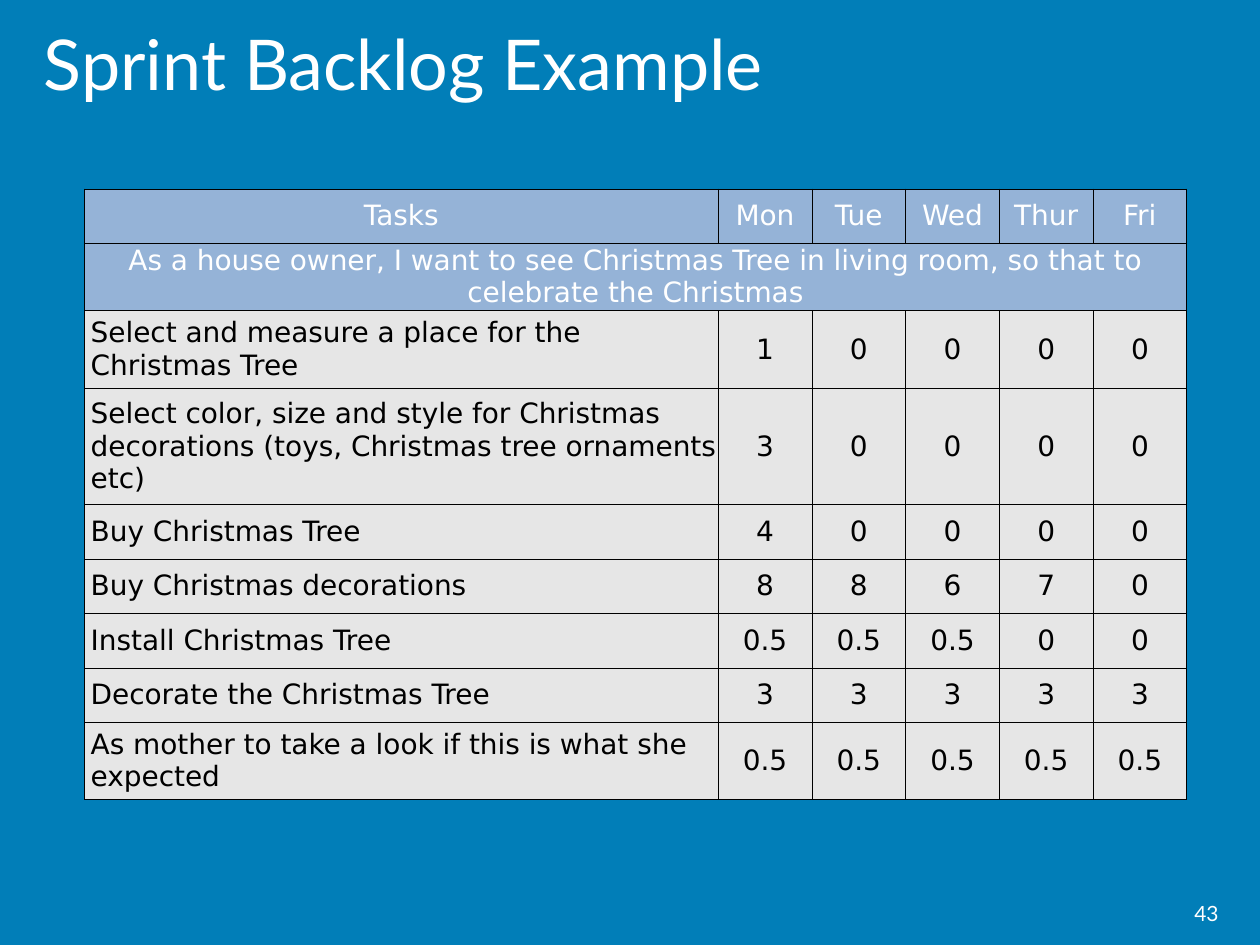
"""Build the sprint backlog slide with its table of tasks and daily hours."""
from dataclasses import dataclass

from lxml.etree import SubElement
from pptx import Presentation
from pptx.dml.color import RGBColor
from pptx.enum.text import MSO_ANCHOR, PP_ALIGN
from pptx.oxml.ns import qn
from pptx.util import Inches, Pt


@dataclass(frozen=True)
class Theme:
    background: str = "017EB8"
    header: str = "95B3D7"
    body: str = "E6E6E6"
    light: str = "FFFFFF"
    dark: str = "000000"
    heading_font: str = "Lato"
    table_font: str = "DejaVu Sans"
    title_size: int = 40
    table_size: int = 16
    number_size: int = 12
    border_width: float = 0.5


theme = Theme()


def style(paragraph, font_name, size, color, alignment):
    paragraph.alignment = alignment
    paragraph.font.name = font_name
    paragraph.font.size = Pt(size)
    paragraph.font.color.rgb = RGBColor.from_string(color)


def add_borders(cell):
    properties = cell._tc.get_or_add_tcPr()
    for side in ("lnL", "lnR", "lnT", "lnB"):
        line = SubElement(properties, qn(f"a:{side}"), w=str(Pt(theme.border_width)))
        fill = SubElement(line, qn("a:solidFill"))
        SubElement(fill, qn("a:srgbClr"), val=theme.dark)


presentation = Presentation()
presentation.slide_width = Inches(10)
presentation.slide_height = Inches(7.5)
slide = presentation.slides.add_slide(presentation.slide_layouts[6])
slide.background.fill.solid()
slide.background.fill.fore_color.rgb = RGBColor.from_string(theme.background)

labels = [
    ("43", (7.44, 7.05, 2.33, 0.39), theme.number_size, PP_ALIGN.RIGHT),
    ("Sprint Backlog Example", (0.25, 0, 9, 1), theme.title_size, PP_ALIGN.LEFT),
]
for text, box, size, alignment in labels:
    frame = slide.shapes.add_textbox(*map(Inches, box)).text_frame
    frame.word_wrap = True
    frame.vertical_anchor = MSO_ANCHOR.MIDDLE
    frame.text = text
    style(frame.paragraphs[0], theme.heading_font, size, theme.light, alignment)

rows = [
    ("Tasks", "Mon", "Tue", "Wed", "Thur", "Fri"),
    ("As a house owner, I want to see Christmas Tree in living room, "
     "so that to celebrate the Christmas", "", "", "", "", ""),
    ("Select and measure a place for the Christmas Tree", "1", "0", "0", "0", "0"),
    ("Select color, size and style for Christmas decorations "
     "(toys, Christmas tree ornaments etc)", "3", "0", "0", "0", "0"),
    ("Buy Christmas Tree", "4", "0", "0", "0", "0"),
    ("Buy Christmas decorations", "8", "8", "6", "7", "0"),
    ("Install Christmas Tree", "0.5", "0.5", "0.5", "0", "0"),
    ("Decorate the Christmas Tree", "3", "3", "3", "3", "3"),
    ("As mother to take a look if this is what she expected",
     "0.5", "0.5", "0.5", "0.5", "0.5"),
]
header_rows = 2
task_width, day_width = 5.03, 0.744
row_height = 0.432
tall_rows = {2: 0.615, 3: 0.925, 8: 0.615}
column_widths = [task_width] + [day_width] * 5
row_heights = [tall_rows.get(index, row_height) for index in range(len(rows))]

table = slide.shapes.add_table(
    len(rows), len(column_widths), Inches(0.67), Inches(1.5),
    Inches(sum(column_widths)), Inches(sum(row_heights)),
).table
for column, width in zip(table.columns, column_widths):
    column.width = Inches(width)
for row, height in zip(table.rows, row_heights):
    row.height = Inches(height)
table.cell(1, 0).merge(table.cell(1, len(column_widths) - 1))

for row_index, values in enumerate(rows):
    is_header = row_index < header_rows
    for column_index, value in enumerate(values):
        is_task = column_index == 0 and not is_header
        cell = table.cell(row_index, column_index)
        add_borders(cell)
        cell.fill.solid()
        cell.fill.fore_color.rgb = RGBColor.from_string(theme.header if is_header else theme.body)
        cell.vertical_anchor = MSO_ANCHOR.MIDDLE
        cell.margin_left = Inches(0.05 if is_task else 0)
        cell.margin_right = cell.margin_top = cell.margin_bottom = 0
        cell.text = value
        paragraph = cell.text_frame.paragraphs[0]
        style(paragraph, theme.table_font, theme.table_size,
              theme.light if is_header else theme.dark,
              PP_ALIGN.LEFT if is_task else PP_ALIGN.CENTER)
        paragraph.font.bold = False

presentation.save("out.pptx")
